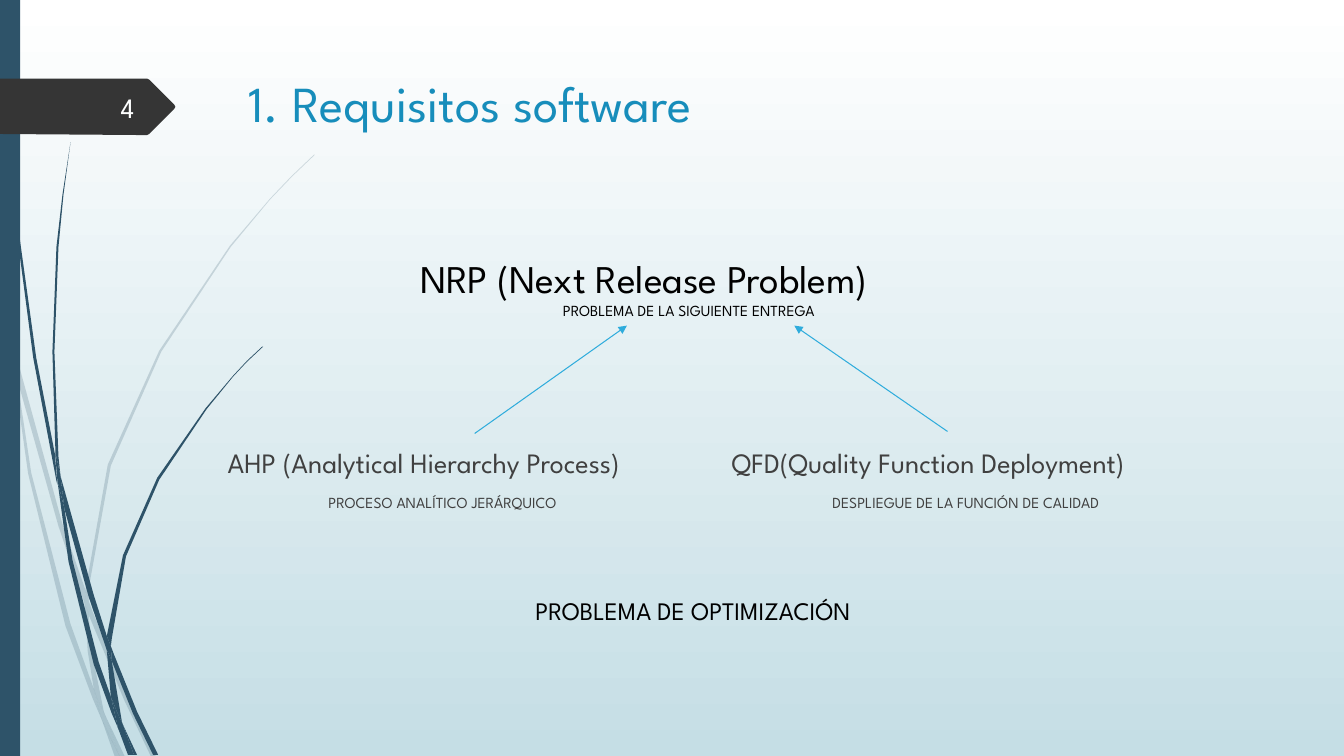
from dataclasses import dataclass

from lxml.etree import SubElement
from pptx import Presentation
from pptx.dml.color import RGBColor as RGB
from pptx.enum.shapes import MSO_CONNECTOR as LINK, MSO_SHAPE as SHAPE
from pptx.enum.text import MSO_ANCHOR as ANCHOR, PP_ALIGN as ALIGN
from pptx.oxml.ns import qn
from pptx.util import Pt

UNIT = Pt(0.72)  # grid step of the outlines below

PALE = [
    "11,350 9,322 0,282 0,299 10,344",
    "58,522 84,599 85,586 62,520 14,345 17,376",
    "92,607 88,596 88,610 123,694 150,751 155,751 127,692",
    "119,751 124,751 105,711",
    "93,683 70,619 31,469 17,376 11,350 28,470 65,621 92,693 101,714 99,707",
    "84,599 87,646 93,683 96,692 105,711 103,706 91,646 88,610 88,608",
    "88,584 110,462 160,349 229,245 268,198 290,175 312,154 312,153 289,175 "
    "268,197 228,244 158,348 107,461 85,584 85,586 88,596",
    "101,714 114,751 119,751",
    "88,608 88,610 88,596 85,586 84,599",
    "96,692 93,683 99,707 101,714 119,751 105,711",
]
DARK = [
    "7,110 17,233 33,355 56,477 57,481 55,457 55,453 36,355 19,232 8,109 "
    "5,48 4,0 3,0 4,48",
    "88,592 106,645 106,633 106,631 93,590 60,472 64,505",
    "113,649 110,641 111,656 132,708 152,749 157,749 136,706",
    "110,691 98,657 72,556 64,505 57,477 68,557 93,659 111,708 117,722 116,717",
    "60,472 58,453 54,349 58,245 63,193 70,141 62,193 56,245 52,349 55,449",
    "133,749 136,749 122,719",
    "57,477 64,505 60,472 55,449 55,453",
    "111,633 125,552 158,476 205,406 231,374 245,359 261,344 260,344 245,358 "
    "231,373 204,405 156,474 122,551 106,631 110,641",
    "117,722 127,749 131,749",
    "106,645 110,691 116,706 122,719 121,716 111,656 109,651",
    "106,645 109,651 111,656 110,641 106,631 106,633",
    "116,706 110,691 116,717 117,722 130,749 133,749 122,719",
]
BADGE = "173,108 148,133 146,134 136,134 0,133 0,78 146,78 148,79 173,104 174,106"


@dataclass(frozen=True)
class Theme:
    font: str = "League Spartan"
    top: str = "FFFFFF"
    base: str = "C5DEE5"
    stem: str = "2E5369"
    badge: str = "353535"
    light: str = "FEFFFF"
    title: str = "178DBB"
    ink: str = "000000"
    soft: str = "404040"
    link: str = "2FACDC"
    huge: int = 36
    large: int = 28
    mid: int = 20
    body: int = 18
    small: int = 11


class Deck:
    def __init__(self, theme):
        self.theme = theme
        self.show = Presentation()
        self.show.slide_width, self.show.slide_height = Pt(960), Pt(540)
        self.slide = self.show.slides.add_slide(self.show.slide_layouts[6])
        self.shapes = self.slide.shapes

    def fade(self):
        """Fill the background from top to base colour."""
        fill = self.slide.background.fill
        fill.gradient()
        fill.gradient_angle = 270
        for stop, tint in zip(fill.gradient_stops, (self.theme.top, self.theme.base)):
            stop.color.rgb = RGB.from_string(tint)

    def paint(self, shape, tint, alpha=100):
        shape.shadow.inherit = False
        shape.fill.solid()
        shape.fill.fore_color.rgb = RGB.from_string(tint)
        shape.line.fill.background()
        if alpha < 100:
            tone = next(shape.element.iter(qn("a:srgbClr")))
            SubElement(tone, qn("a:alpha"), val=str(alpha * 1000))
        return shape

    def bar(self, x, y, w, h, tint):
        shape = self.shapes.add_shape(SHAPE.RECTANGLE, Pt(x), Pt(y), Pt(w), Pt(h))
        return self.paint(shape, tint)

    def patch(self, trace, tint, alpha=100):
        """Draw a closed outline given as "x,y" pairs on the grid."""
        spots = [tuple(map(int, pair.split(","))) for pair in trace.split()]
        pen = self.shapes.build_freeform(*spots[0], scale=UNIT)
        pen.add_line_segments(spots[1:], close=True)
        return self.paint(pen.convert_to_shape(), tint, alpha)

    def stems(self, traces, alpha=100):
        parts = [self.patch(trace, self.theme.stem, alpha) for trace in traces]
        self.shapes.add_group_shape(parts)

    def text(self, x, y, w, h, words, size, tint, align=ALIGN.LEFT, anchor=ANCHOR.TOP):
        frame = self.shapes.add_textbox(Pt(x), Pt(y), Pt(w), Pt(h)).text_frame
        frame.word_wrap = True
        frame.vertical_anchor = anchor
        self.style(frame.paragraphs[0], words, size, tint, align)
        return frame

    def style(self, para, words, size, tint, align=ALIGN.LEFT):
        para.text = words
        para.alignment = align
        para.font.name = self.theme.font
        para.font.size = Pt(size)
        para.font.color.rgb = RGB.from_string(tint)

    def term(self, x, y, w, h, name, gloss, size, tint, indent, gap=0):
        """Write a term with its indented translation below."""
        para = self.text(x, y, w, h, name, size, tint).add_paragraph()
        self.style(para, gloss, self.theme.small, tint)
        para.space_before = Pt(gap)
        props = para._p.get_or_add_pPr()
        props.set("marL", str(Pt(indent)))
        props.set("indent", "0")

    def arrow(self, x1, y1, x2, y2):
        link = self.shapes.add_connector(
            LINK.STRAIGHT, Pt(x1), Pt(y1), Pt(x2), Pt(y2))
        link.line.width = Pt(0.75)
        link.line.color.rgb = RGB.from_string(self.theme.link)
        props = link.element.spPr
        SubElement(props.find(qn("a:ln")), qn("a:tailEnd"), type="triangle")
        SubElement(props, qn("a:effectLst"))


def main():
    theme = Theme()
    deck = Deck(theme)
    deck.fade()
    deck.stems(PALE, alpha=20)
    deck.stems(DARK)
    deck.bar(0, 0, 14.4, 540, theme.stem)
    deck.patch(BADGE, theme.badge)
    deck.text(41.8, 61.9, 61.2, 28.8, "4", theme.mid, theme.light,
              ALIGN.RIGHT, ANCHOR.MIDDLE)
    deck.text(170.6, 48.2, 735, 60.5, "1. Requisitos software",
              theme.huge, theme.title)

    deck.term(293, 177.8, 404, 54.7, "NRP (Next Release Problem)",
              "PROBLEMA DE LA SIGUIENTE ENTREGA", theme.large, theme.ink, 102)
    methods = [
        ("AHP (Analytical Hierarchy Process)", "PROCESO ANALÍTICO JERÁRQUICO"),
        ("QFD(Quality Function Deployment)", "DESPLIEGUE DE LA FUNCIÓN DE CALIDAD"),
    ]
    for col, (name, gloss) in enumerate(methods):
        deck.term(155.5 + 360 * col, 314.4, 320, 56, name, gloss,
                  theme.mid, theme.soft, 72, gap=10)
    deck.arrow(339.1, 309.6, 447.8, 232.6)
    deck.arrow(676.8, 308.2, 567.4, 232.6)
    deck.text(359.3, 421.9, 271.4, 29, "PROBLEMA DE OPTIMIZACIÓN",
              theme.body, theme.ink, ALIGN.CENTER)
    deck.show.save("out.pptx")


if __name__ == "__main__":
    main()
